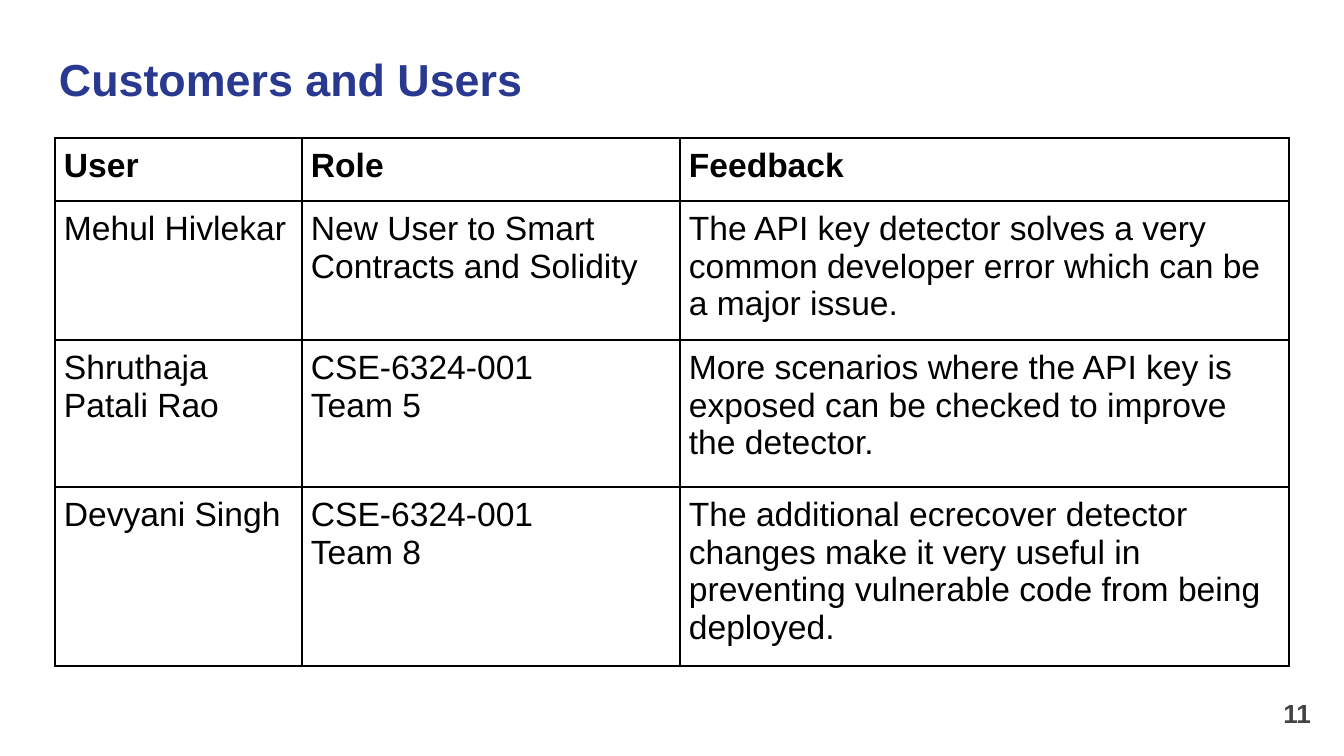
import pptx
import pptx.dml.color
import pptx.enum.text
import pptx.oxml
import pptx.oxml.ns
import pptx.util

PX_PER_INCH = 134.4
BLUE = pptx.dml.color.RGBColor(0x2A, 0x39, 0x90)
GREY = pptx.dml.color.RGBColor(0x43, 0x43, 0x43)
BLACK = pptx.dml.color.RGBColor(0, 0, 0)
ALIGN = pptx.enum.text.PP_ALIGN
ANCHOR = pptx.enum.text.MSO_ANCHOR

COLUMN_WIDTHS = [247, 378, 609]
ROW_HEIGHTS = [63, 131, 147, 169]
FEEDBACK_ROWS = [
    ["User", "Role", "Feedback"],
    ["Mehul Hivlekar", "New User to Smart Contracts and Solidity",
     "The API key detector solves a very common developer error which can be a major issue."],
    ["Shruthaja Patali Rao", "CSE-6324-001\nTeam 5",
     "More scenarios where the API key is exposed can be checked to improve the detector."],
    ["Devyani Singh", "CSE-6324-001\nTeam 8",
     "The additional ecrecover detector changes make it very useful in "
     "preventing vulnerable code from being deployed."],
]


def px(length):
    return pptx.util.Inches(length / PX_PER_INCH)


def apply_format(target, values):
    for name, value in values.items():
        setattr(target, name, value)


def write_text(frame, text, size, color, bold, align=ALIGN.LEFT):
    frame.text = text
    for para in frame.paragraphs:
        para.alignment = align
        for span in para.runs:
            apply_format(span.font, {"name": "Arial", "size": pptx.util.Pt(size), "bold": bold})
            span.font.color.rgb = color


def set_margins(target, margin):
    sides = ("left", "top", "right", "bottom")
    apply_format(target, {f"margin_{side}": px(margin) for side in sides})


def add_label(page, box, text, size, color, align, anchor):
    frame = page.shapes.add_textbox(*map(px, box)).text_frame
    apply_format(frame, {"word_wrap": True, "vertical_anchor": anchor})
    set_margins(frame, 13)
    write_text(frame, text, size, color, True, align)


def add_borders(cell):
    properties = cell._tc.get_or_add_tcPr()
    for position, side in enumerate(("lnL", "lnR", "lnT", "lnB")):
        line = pptx.oxml.parse_xml(
            f'<a:{side} {pptx.oxml.ns.nsdecls("a")} w="{pptx.util.Pt(1)}">'
            f'<a:solidFill><a:srgbClr val="{BLACK}"/></a:solidFill></a:{side}>')
        properties.insert(position, line)


def add_feedback_table(page, box):
    table = page.shapes.add_table(
        len(ROW_HEIGHTS), len(COLUMN_WIDTHS), *map(px, box)).table
    apply_format(table, {"first_row": False, "horz_banding": False})
    for column, width in zip(table.columns, COLUMN_WIDTHS):
        column.width = px(width)
    for row_index, (row, height) in enumerate(zip(table.rows, ROW_HEIGHTS)):
        row.height = px(height)
        for cell, text in zip(row.cells, FEEDBACK_ROWS[row_index]):
            set_margins(cell, 9)
            cell.fill.background()
            write_text(cell.text_frame, text, 18, BLACK, row_index == 0)
            add_borders(cell)


def main():
    deck = pptx.Presentation()
    apply_format(deck, {"slide_width": px(1344), "slide_height": px(756)})
    page = deck.slides.add_slide(deck.slide_layouts[6])
    add_label(page, (46, 39, 1253, 89), "Customers and Users", 24, BLUE, ALIGN.LEFT, ANCHOR.TOP)
    add_feedback_table(page, (55, 138, sum(COLUMN_WIDTHS), sum(ROW_HEIGHTS)))
    add_label(page, (1243, 684, 81, 58), "11", 14, GREY, ALIGN.RIGHT, ANCHOR.MIDDLE)
    deck.save("out.pptx")


if __name__ == "__main__":
    main()
